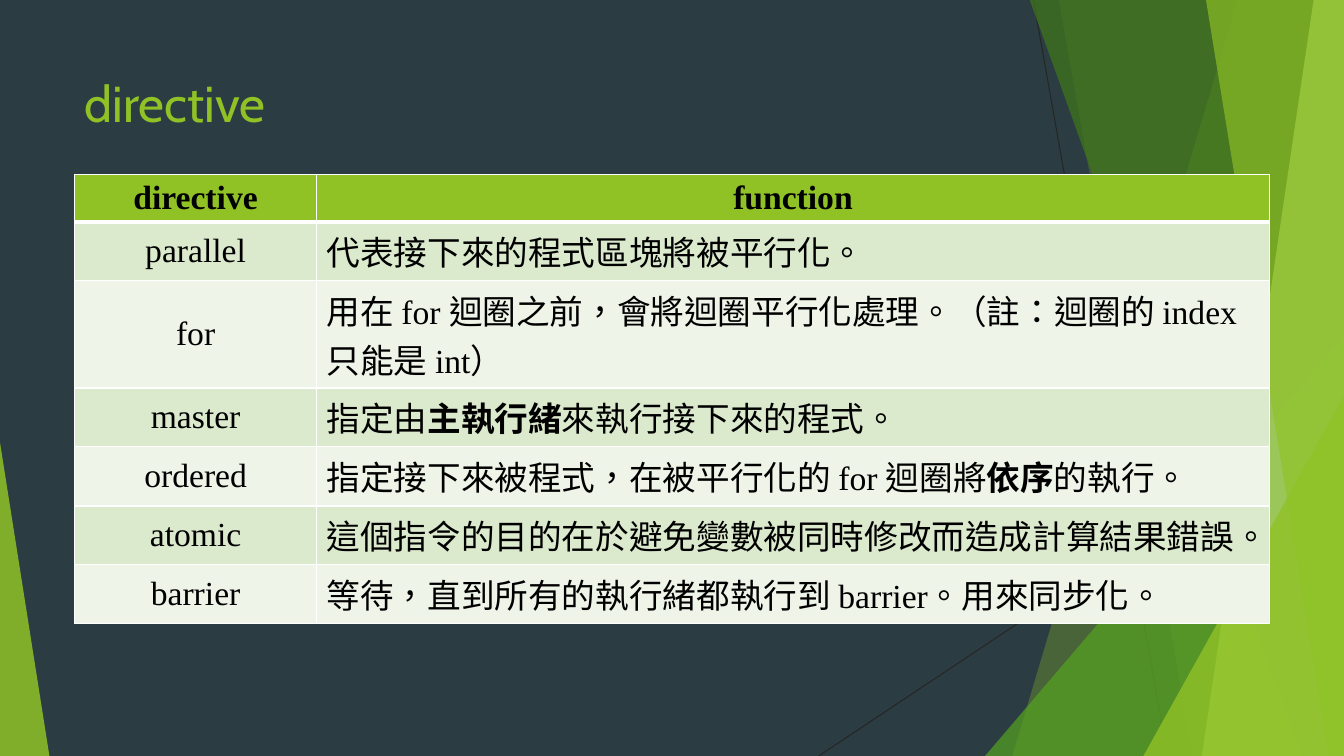
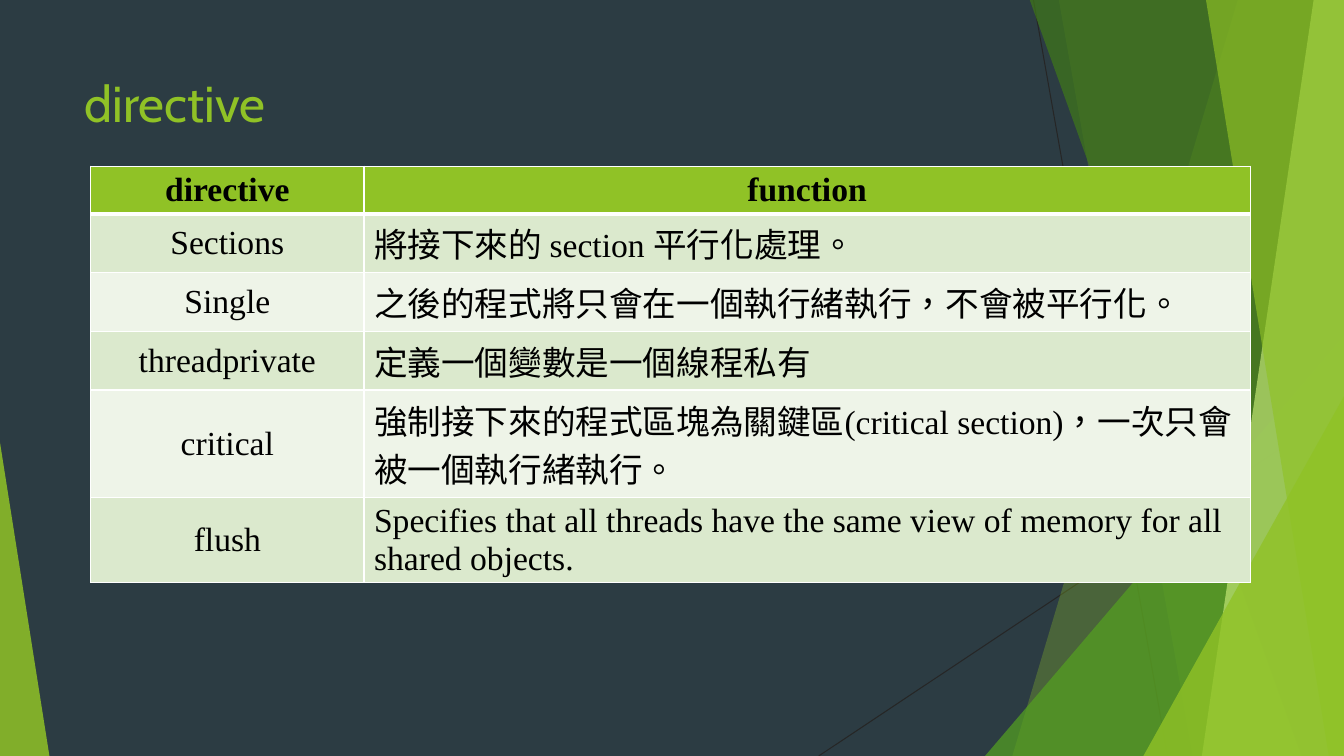
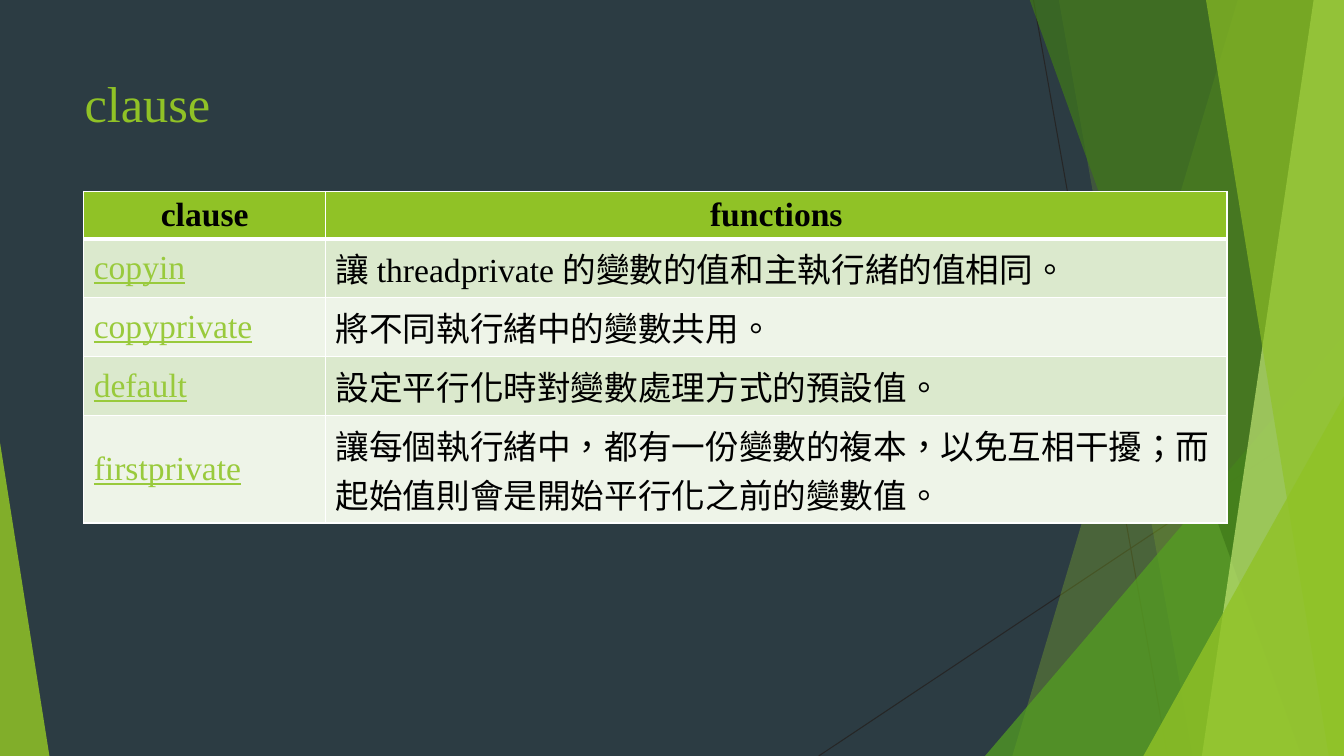
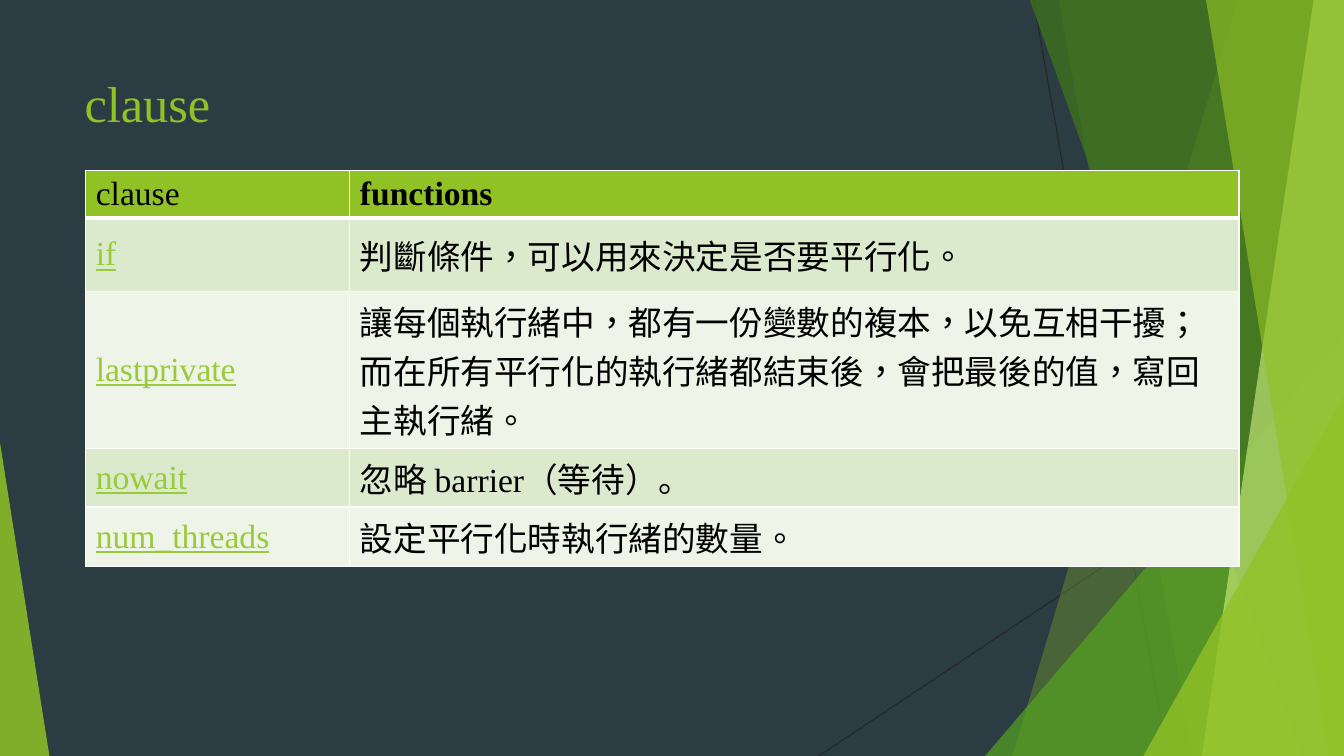
"""Build four slides of parallel programming directives and clauses."""
from lxml.etree import SubElement
from pptx import Presentation
from pptx.dml.color import RGBColor
from pptx.enum.lang import MSO_LANGUAGE_ID
from pptx.enum.shapes import MSO_CONNECTOR, MSO_SHAPE
from pptx.enum.text import MSO_ANCHOR, PP_ALIGN
from pptx.oxml.ns import qn
from pptx.util import Pt

PX = 9144
WIDTH, HEIGHT = 1333, 750
BLANK = 6
SERIF, SANS = "Times New Roman", "Cabin"
COLORS = {
    "background": "2C3C43", "lime": "90C226", "green": "54A021", "forest": "3F7819",
    "pale": "C0E474", "hairline": "262626", "ink": "000000", "link": "99CA3C",
    "border": "FFFFFF", "odd_row": "DBE9CD", "even_row": "EEF4E8",
}
BOLD = {"bold": True}
LINK = {"color": "link", "underline": True}
CENTER = {"align": PP_ALIGN.CENTER}
SIMPLIFIED = {"language": MSO_LANGUAGE_ID.SIMPLIFIED_CHINESE}

HAIRLINES = [(1025, 0, 1158, 750), (1333, 403, 812, 750)]
RIBBON, TRIANGLE = "ribbon", "triangle"
FACETS = [
    (RIBBON, (1228, 1004), "lime", 30),
    (RIBBON, (1050, 1183), "lime", 20),
    (TRIANGLE, (977, 333, 356, 417, 1), "green", 72),
    (RIBBON, (1021, 1291), "forest", 70),
    (RIBBON, (1303, 1192), "pale", 70),
    (RIBBON, (1196, 1318), "lime", 65),
    (TRIANGLE, (1134, 393, 199, 357, 1), "lime", 80),
    (TRIANGLE, (0, 439, 49, 311, 0), "lime", 85),
]

SLIDES = [
    {
        "title": "directive", "title_font": SANS, "at": (74, 173),
        "columns": (240, 945), "heights": (47, 58, 107, 58, 59, 58, 59),
        "header_formats": ({**BOLD, **CENTER}, {**BOLD, **CENTER}), "term_format": CENTER,
        "rows": [
            ("directive", "function"),
            ("parallel", "代表接下來的程式區塊將被平行化。"),
            ("for", "用在 for 迴圈之前，會將迴圈平行化處理。（註：迴圈的 index 只能是 int）"),
            ("master", [("指定由", {}), ("主執行緒", BOLD), ("來執行接下來的程式。", {})]),
            ("ordered", [("指定接下來被程式，在被平行化的 for 迴圈將", {}), ("依序", BOLD),
                         ("的執行。", {})]),
            ("atomic", "這個指令的目的在於避免變數被同時修改而造成計算結果錯誤。"),
            ("barrier", "等待，直到所有的執行緒都執行到 barrier。用來同步化。"),
        ],
    },
    {
        "title": "directive", "title_font": SANS, "at": (90, 165),
        "columns": (271, 879), "heights": (47, 58, 59, 58, 107, 84),
        "header_formats": ({**BOLD, **CENTER}, {**BOLD, **CENTER}), "term_format": CENTER,
        "rows": [
            ("directive", "function"),
            ("Sections", "將接下來的 section 平行化處理。"),
            ("Single", "之後的程式將只會在一個執行緒執行，不會被平行化。"),
            ("threadprivate", "定義一個變數是一個線程私有"),
            ("critical", "強制接下來的程式區塊為關鍵區(critical section)，一次只會被一個執行緒執行。"),
            ("flush", "Specifies that all threads have the same view of memory for all shared objects."),
        ],
    },
    {
        "title": "clause", "title_font": SERIF, "at": (83, 190),
        "columns": (240, 894), "heights": (47, 58, 59, 58, 107),
        "header_formats": ({**BOLD, **CENTER}, {**BOLD, **CENTER}), "term_format": LINK,
        "rows": [
            ("clause", "functions"),
            ("copyin", "讓 threadprivate 的變數的值和主執行緒的值相同。"),
            ("copyprivate", "將不同執行緒中的變數共用。"),
            ("default", "設定平行化時對變數處理方式的預設值。"),
            ("firstprivate", "讓每個執行緒中，都有一份變數的複本，以免互相干擾；而起始值則會是開始平行化之前的變數值。"),
        ],
    },
    {
        "title": "clause", "title_font": SERIF, "at": (85, 169),
        "columns": (262, 882), "heights": (47, 73, 156, 58, 59),
        "header_formats": ({}, BOLD), "term_format": LINK,
        "rows": [
            ("clause", "functions"),
            ("if", "判斷條件，可以用來決定是否要平行化。"),
            ("lastprivate", "讓每個執行緒中，都有一份變數的複本，以免互相干擾；而在所有平行化的執行緒都結束後，會把最後的值，寫回主執行緒。"),
            ("nowait", [("忽略 barrier（等待）。", SIMPLIFIED)]),
            ("num_threads", "設定平行化時執行緒的數量。"),
        ],
    },
]


def rgb(name):
    return RGBColor.from_string(COLORS[name])


def px(*lengths):
    return [length * PX for length in lengths]


def write(paragraph, text, *, size=24, font=SERIF, color="ink", bold=False, underline=False,
          align=PP_ALIGN.LEFT, language=MSO_LANGUAGE_ID.TRADITIONAL_CHINESE):
    paragraph.alignment = align
    run = paragraph.add_run()
    run.text = text
    style = run.font
    style.size, style.name, style.bold, style.underline = Pt(size), font, bold, underline
    style.color.rgb = rgb(color)
    style.language_id = language


def add_hairline(slide, ends):
    hairline = slide.shapes.add_connector(MSO_CONNECTOR.STRAIGHT, *px(*ends))
    hairline.line.color.rgb = rgb("hairline")
    hairline.line.width = Pt(0.75)
    SubElement(hairline.element.spPr, qn("a:effectLst"))


def add_facet(slide, kind, geometry, color, opacity):
    if kind == RIBBON:
        top_left, bottom_left = geometry
        outline = slide.shapes.build_freeform(top_left, -1, scale=PX)
        outline.add_line_segments([(WIDTH, -1), (WIDTH, HEIGHT), (bottom_left, HEIGHT)])
        facet = outline.convert_to_shape()
    else:
        *box, apex = geometry
        facet = slide.shapes.add_shape(MSO_SHAPE.ISOSCELES_TRIANGLE, *px(*box))
        facet.adjustments[0] = apex
    facet.shadow.inherit = False
    facet.line.fill.background()
    facet.fill.solid()
    facet.fill.fore_color.rgb = rgb(color)
    for tint in facet.element.spPr.iter(qn("a:srgbClr")):
        SubElement(tint, qn("a:alpha"), val=str(opacity * 1000))


def add_title(slide, title, font):
    frame = slide.shapes.add_textbox(*px(74, 67, 1076, 144)).text_frame
    frame.word_wrap = True
    write(frame.paragraphs[0], title, size=36, font=font, color="lime")


def set_borders(cell, bottom_width, top_width):
    properties = cell._tc.get_or_add_tcPr()
    widths = {"a:lnL": 1, "a:lnR": 1, "a:lnT": top_width, "a:lnB": bottom_width}
    for position, (side, width) in enumerate(widths.items()):
        border = SubElement(properties, qn(side), w=str(Pt(width)))
        SubElement(SubElement(border, qn("a:solidFill")), qn("a:srgbClr"), val=COLORS["border"])
        properties.insert(position, border)


def add_definitions(slide, content):
    rows, columns, heights = content["rows"], content["columns"], content["heights"]
    box = px(*content["at"], sum(columns), sum(heights))
    table = slide.shapes.add_table(len(rows), len(columns), *box).table
    for column, width in zip(table.columns, columns):
        column.width = width * PX
    for index, (row, height, entries) in enumerate(zip(table.rows, heights, rows)):
        row.height = height * PX
        formats = (content["term_format"], {}) if index else content["header_formats"]
        fill = ("even_row" if index % 2 == 0 else "odd_row") if index else "lime"
        for cell, entry, cell_format in zip(row.cells, entries, formats):
            cell.vertical_anchor = MSO_ANCHOR.MIDDLE
            cell.margin_top = cell.margin_bottom = PX
            cell.fill.solid()
            cell.fill.fore_color.rgb = rgb(fill)
            set_borders(cell, 1 if index else 3, 3 if index == 1 else 1)
            runs = [(entry, {})] if isinstance(entry, str) else entry
            for text, run_format in runs:
                write(cell.text_frame.paragraphs[0], text, **{**cell_format, **run_format})


def main():
    deck = Presentation()
    deck.slide_width, deck.slide_height = px(WIDTH, HEIGHT)
    backdrop = deck.slide_master.background.fill
    backdrop.solid()
    backdrop.fore_color.rgb = rgb("background")
    for content in SLIDES:
        slide = deck.slides.add_slide(deck.slide_layouts[BLANK])
        for ends in HAIRLINES:
            add_hairline(slide, ends)
        for facet in FACETS:
            add_facet(slide, *facet)
        add_title(slide, content["title"], content["title_font"])
        add_definitions(slide, content)
    deck.save("out.pptx")


if __name__ == "__main__":
    main()
